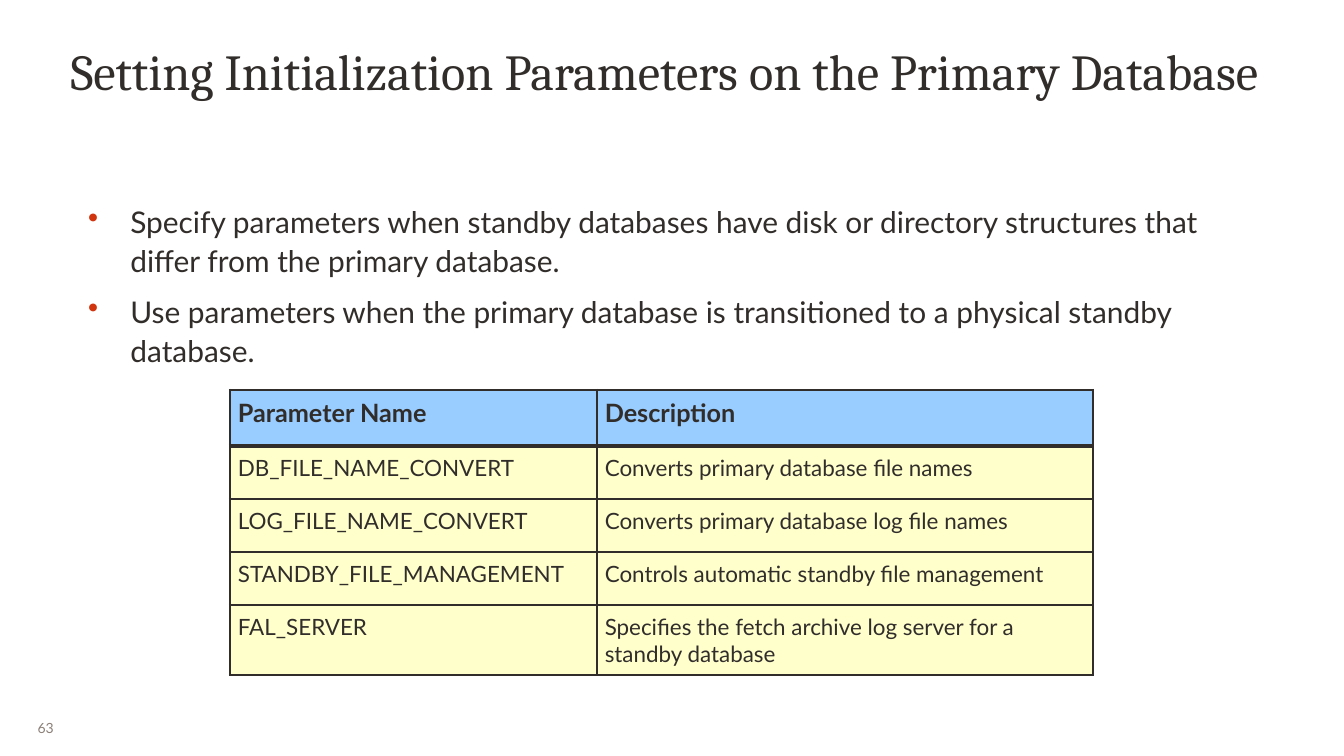
import pptx
import pptx.dml.color
import pptx.enum.text
import pptx.oxml
import pptx.oxml.ns
import pptx.util
from pptx.util import Inches

COLORS = {"text": "312D2A", "bullet": "D1350F", "number": "8B8078",
          "header": "99CCFF", "body": "FFFFCC"}
TITLE_FONT, BODY_FONT = "Cambria", "Lato"
THIN, THICK = 2.25, 4.5

BULLETS = [
    "Specify parameters when standby databases have disk or directory structures that "
    "differ from the primary database.",
    "Use parameters when the primary database is transitioned to a physical standby database.",
]
PARAMETERS = [
    ("Parameter Name", "Description"),
    ("DB_FILE_NAME_CONVERT", "Converts primary database file names"),
    ("LOG_FILE_NAME_CONVERT", "Converts primary database log file names"),
    ("STANDBY_FILE_MANAGEMENT", "Controls automatic standby file management"),
    ("FAL_SERVER", "Specifies the fetch archive log server for a standby database"),
]
COLUMN_WIDTHS = [5.46, 7.38]
ROW_HEIGHTS = [0.84, 0.79, 0.79, 0.79, 1.01]


def rgb(name):
    return pptx.dml.color.RGBColor.from_string(COLORS[name])


def add_xml(parent, tag, inner="", **attributes):
    attrs = " ".join(f'{key}="{value}"' for key, value in attributes.items())
    ns = pptx.oxml.ns.nsdecls("a")
    parent.append(pptx.oxml.parse_xml(f"<a:{tag} {ns} {attrs}>{inner}</a:{tag}>"))


class SlideBuilder:
    def __init__(self, slide):
        self.slide = slide

    def style(self, p, size, font=BODY_FONT, color="text", bold=False):
        for r in p.runs:
            r.font.name = font
            r.font.size = pptx.util.Pt(size)
            r.font.bold = bold
            r.font.color.rgb = rgb(color)

    def text_frame(self, left, top, width, height, inset_x=0.03, inset_y=0.03):
        sp = self.slide.shapes.add_textbox(
            Inches(left), Inches(top), Inches(width), Inches(height))
        tf = sp.text_frame
        tf.word_wrap = True
        tf.margin_left = tf.margin_right = Inches(inset_x)
        tf.margin_top = tf.margin_bottom = Inches(inset_y)
        return tf

    def title(self, text):
        p = self.text_frame(1.02, 0.67, 17.96, 1.28).paragraphs[0]
        p.text = text
        p.line_spacing = 0.9
        self.style(p, 54, TITLE_FONT)

    def bullets(self, items):
        tf = self.text_frame(1.02, 2.94, 17.96, 2.55)
        for i, item in enumerate(items):
            p = tf.add_paragraph() if i else tf.paragraphs[0]
            p.text = item
            pPr = p._p.get_or_add_pPr()
            pPr.set("marL", str(Inches(0.89)))
            pPr.set("indent", str(Inches(-0.63)))
            add_xml(pPr, "buClr", f'<a:srgbClr val="{COLORS["bullet"]}"/>')
            add_xml(pPr, "buChar", char="•")
            p.line_spacing = 1.1
            if i:
                p.space_before = pptx.util.Pt(12)
            self.style(p, 32)

    def table(self, rows):
        table = self.slide.shapes.add_table(
            len(rows), len(COLUMN_WIDTHS), Inches(3.42), Inches(5.8),
            Inches(sum(COLUMN_WIDTHS)), Inches(sum(ROW_HEIGHTS))).table
        table.horz_banding = False
        for column, width in zip(table.columns, COLUMN_WIDTHS):
            column.width = Inches(width)
        for i, (row, height, texts) in enumerate(zip(table.rows, ROW_HEIGHTS, rows)):
            row.height = Inches(height)
            for cell, text in zip(row.cells, texts):
                self.cell(cell, text, i)

    def cell(self, cell, text, row):
        """Fill one cell, with a thick line between the header and the first row."""
        header = row == 0
        cell.margin_left = cell.margin_right = Inches(0.12)
        cell.margin_top = cell.margin_bottom = Inches(0.12)
        borders = {"lnL": THIN, "lnR": THIN,
                   "lnT": THICK if row == 1 else THIN,
                   "lnB": THICK if header else THIN}
        line = f'<a:solidFill><a:srgbClr val="{COLORS["text"]}"/></a:solidFill>'
        for tag, width in borders.items():
            add_xml(cell._tc.get_or_add_tcPr(), tag, line, w=pptx.util.Pt(width))
        cell.fill.solid()
        cell.fill.fore_color.rgb = rgb("header" if header else "body")
        p = cell.text_frame.paragraphs[0]
        p.text = text
        self.style(p, 27 if header else 24, bold=header)

    def page_number(self, number):
        tf = self.text_frame(0.43, 10.54, 0.65, 0.58, 0.13, 0.07)
        tf.vertical_anchor = pptx.enum.text.MSO_ANCHOR.MIDDLE
        p = tf.paragraphs[0]
        p.text = str(number)
        p.alignment = pptx.enum.text.PP_ALIGN.JUSTIFY
        self.style(p, 15, color="number")


def main():
    prs = pptx.Presentation()
    prs.slide_width, prs.slide_height = Inches(20), Inches(11.25)
    s = SlideBuilder(prs.slides.add_slide(prs.slide_layouts[6]))
    s.page_number(63)
    s.title("Setting Initialization Parameters on the Primary Database")
    s.bullets(BULLETS)
    s.table(PARAMETERS)
    prs.save("out.pptx")


if __name__ == "__main__":
    main()
